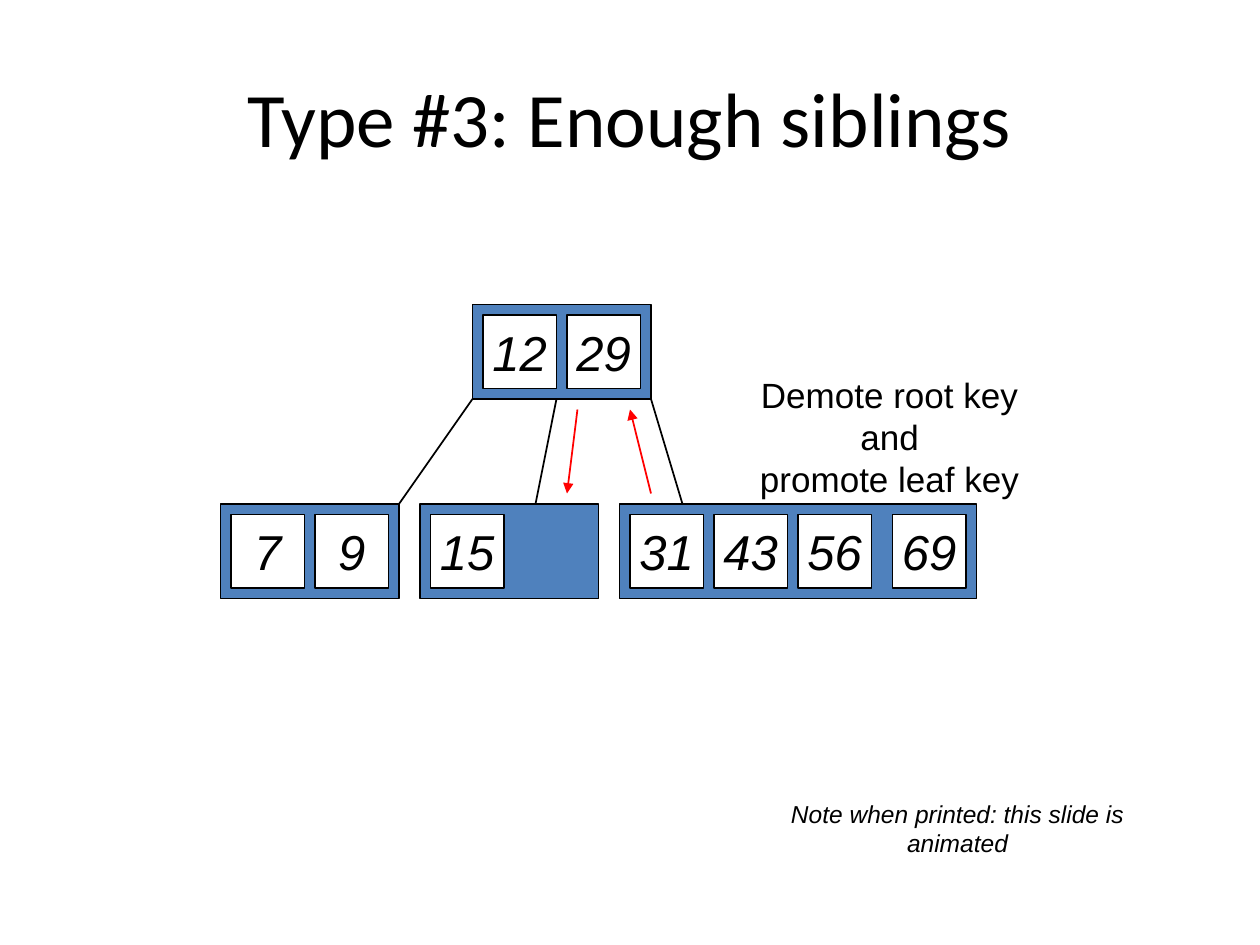
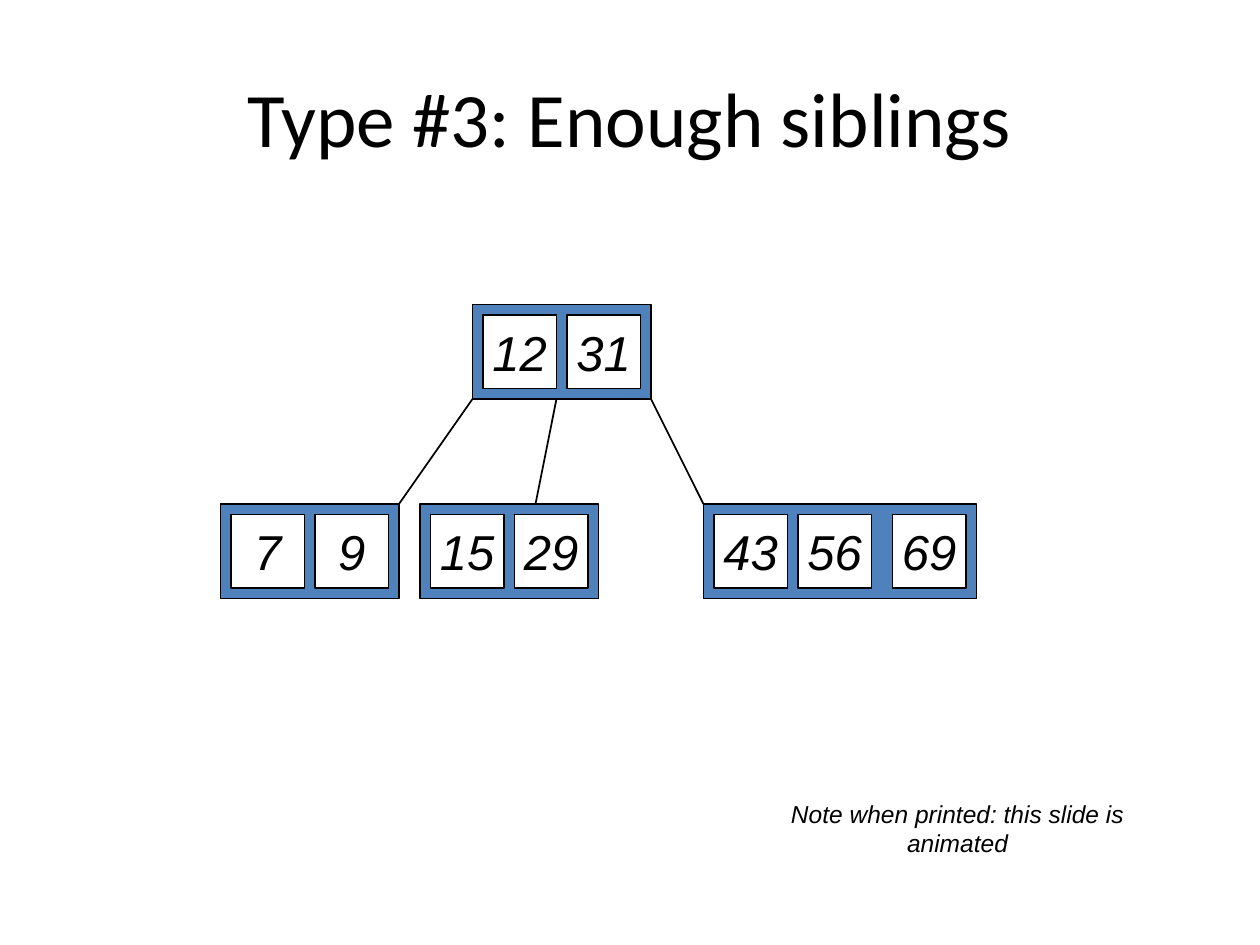
"""Build two slides on moving a key between B-tree siblings through the root."""
from dataclasses import dataclass

from lxml.etree import SubElement
from pptx import Presentation
from pptx.dml.color import RGBColor
from pptx.enum.shapes import MSO_CONNECTOR, MSO_SHAPE
from pptx.enum.text import MSO_ANCHOR, PP_ALIGN
from pptx.oxml.ns import qn
from pptx.util import Inches, Pt


@dataclass(frozen=True)
class Theme:
    ink: RGBColor = RGBColor.from_string("000000")
    node: RGBColor = RGBColor.from_string("4F81BD")
    key: RGBColor = RGBColor.from_string("FFFFFF")
    move: RGBColor = RGBColor.from_string("FF0000")
    title_font: str = "Calibri"
    body_font: str = "Arial"
    title_size: int = 44
    key_size: int = 28
    caption_size: int = 20
    note_size: int = 14
    line_width: int = 1


@dataclass(frozen=True)
class Node:
    left: int
    top: int
    keys: tuple
    slots: int = 2
    last_gap: int = 0


THEME = Theme()
GRID = 1 / 12
KEY_SIDE, KEY_GAP = 7, 1
PITCH = KEY_SIDE + KEY_GAP
NODE_HEIGHT = KEY_SIDE + 2 * KEY_GAP
ROOT_TOP, LEAF_TOP = 29, 48
ROOT_BOTTOM = ROOT_TOP + NODE_HEIGHT

TITLE = "Type #3: Enough siblings"
TITLE_BOX = (0.5, 0.3, 9, 1.25)
NOTE = ["Note when printed: this slide is animated"]
NOTE_BOX = (5.76, 6.41, 3.68, 0.33)
CAPTION_BOX = (5.67, 3.08, 2.78, 0.77)
SHARED_EDGES = [(45, 38), (53, 51)]

SLIDES = [
    {
        "nodes": [
            Node(45, ROOT_TOP, (12, 29)),
            Node(21, LEAF_TOP, (7, 9)),
            Node(40, LEAF_TOP, (15,)),
            Node(59, LEAF_TOP, (31, 43, 56, 69), slots=4, last_gap=1),
        ],
        "last_edge": (62, 65),
        "moves": [((62, 47), (60, 39)), ((55, 39), (54, 47))],
        "caption": ["Demote root key and", "promote leaf key"],
    },
    {
        "nodes": [
            Node(45, ROOT_TOP, (12, 31)),
            Node(21, LEAF_TOP, (7, 9)),
            Node(40, LEAF_TOP, (15, 29)),
            Node(67, LEAF_TOP, (43, 56, 69), slots=3, last_gap=1),
        ],
        "last_edge": (62, 67),
        "moves": [],
        "caption": [],
    },
]


def on_grid(*steps):
    return [Inches(step * GRID) for step in steps]


def write(frame, lines, size, font=THEME.body_font, italic=False):
    frame.text = "\n".join(lines)
    frame.vertical_anchor = MSO_ANCHOR.MIDDLE
    for paragraph in frame.paragraphs:
        paragraph.alignment = PP_ALIGN.CENTER
        paragraph.font.name = font
        paragraph.font.size = Pt(size)
        paragraph.font.italic = italic
        paragraph.font.color.rgb = THEME.ink


def add_title(slide):
    title = slide.shapes.title
    title.left, title.top, title.width, title.height = map(Inches, TITLE_BOX)
    write(title.text_frame, [TITLE], THEME.title_size, THEME.title_font)


def add_label(slide, box, lines, size, italic=False):
    frame = slide.shapes.add_textbox(*map(Inches, box)).text_frame
    frame.word_wrap = True
    frame.margin_left = frame.margin_right = Inches(0.15)
    write(frame, lines, size, italic=italic)


def add_box(shapes, left, top, width, height, color):
    box = shapes.add_shape(MSO_SHAPE.RECTANGLE, *on_grid(left, top, width, height))
    box.shadow.inherit = False
    box.fill.solid()
    box.fill.fore_color.rgb = color
    box.line.color.rgb = THEME.ink
    box.line.width = Pt(THEME.line_width)
    return box


def add_node(slide, node):
    shapes = slide.shapes.add_group_shape().shapes
    width = node.slots * PITCH + KEY_GAP + node.last_gap
    add_box(shapes, node.left, node.top, width, NODE_HEIGHT, THEME.node)
    for slot, key in enumerate(node.keys):
        left = node.left + KEY_GAP + slot * PITCH
        if slot == node.slots - 1:
            left += node.last_gap
        box = add_box(shapes, left, node.top + KEY_GAP, KEY_SIDE, KEY_SIDE, THEME.key)
        box.text_frame.word_wrap = False
        write(box.text_frame, [str(key)], THEME.key_size, italic=True)


def add_line(slide, start, end, color, arrow=False):
    line = slide.shapes.add_connector(MSO_CONNECTOR.STRAIGHT, *on_grid(*start, *end))
    line.line.color.rgb = color
    line.line.width = Pt(THEME.line_width)
    if arrow:
        SubElement(line.line._get_or_add_ln(), qn("a:tailEnd"), type="triangle")
    SubElement(line._element.spPr, qn("a:effectLst"))


def add_tree_slide(deck, content):
    slide = deck.slides.add_slide(deck.slide_layouts[5])
    add_title(slide)
    for node in content["nodes"]:
        add_node(slide, node)
    for root_x, leaf_x in SHARED_EDGES + [content["last_edge"]]:
        add_line(slide, (root_x, ROOT_BOTTOM), (leaf_x, LEAF_TOP), THEME.ink)
    for start, end in content["moves"]:
        add_line(slide, start, end, THEME.move, arrow=True)
    if content["caption"]:
        add_label(slide, CAPTION_BOX, content["caption"], THEME.caption_size)
    add_label(slide, NOTE_BOX, NOTE, THEME.note_size, italic=True)


deck = Presentation()
deck.slide_width, deck.slide_height = Inches(10), Inches(7.5)
for content in SLIDES:
    add_tree_slide(deck, content)
deck.save("out.pptx")
